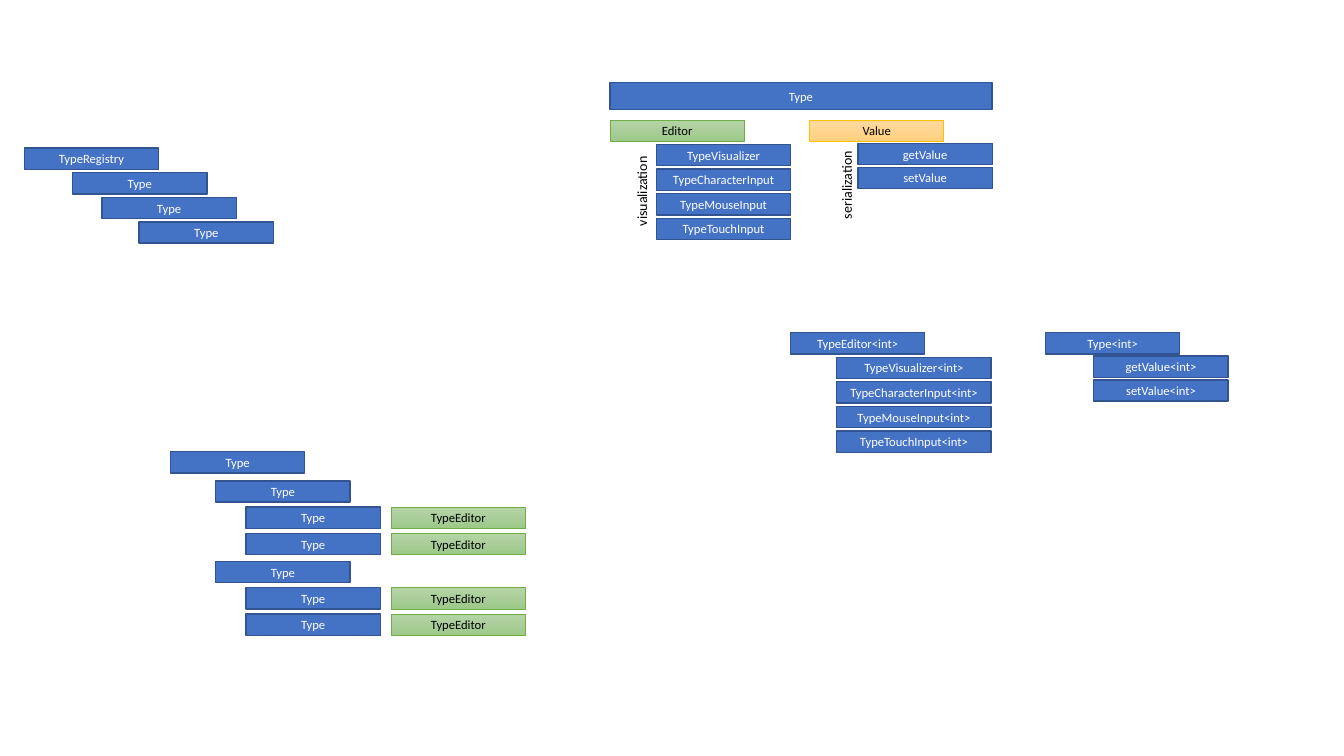
from copy import deepcopy

from pptx import Presentation
from pptx.dml.color import RGBColor
from pptx.enum.shapes import MSO_SHAPE as Shape
from pptx.enum.text import MSO_ANCHOR as Anchor, MSO_AUTO_SIZE as AutoSize, PP_ALIGN as Align
from pptx.oxml.ns import qn
from pptx.util import Inches, Pt

SLIDE_WIDTH, SLIDE_HEIGHT = Inches(13.333), Inches(7.5)
BOX_WIDTH, BOX_HEIGHT = 10, 2.82
PITCH = 3.25
FONT = "Calibri"
BLUE = (["4472C4"], "325491", 1, "FFFFFF")
GREEN = (["B5D5A7", "AACE9A", "9CC987"], "70AD47", 0.5, "000000")
YELLOW = (["FFDB9E", "FFD590", "FFD07C"], "FFC000", 0.5, "000000")


def color(value):
    return RGBColor.from_string(value)


def area(left, top, width, height):
    """Turn percentages of the slide into lengths."""
    return [int(share * side / 100) for share, side in
            zip((left, top, width, height), (SLIDE_WIDTH, SLIDE_HEIGHT) * 2)]


def write(shape, text, size, font_color, align):
    shape.text_frame.text = text
    paragraph = shape.text_frame.paragraphs[0]
    paragraph.alignment = align
    font = paragraph.runs[0].font
    font.name, font.size = FONT, Pt(size)
    font.color.rgb = color(font_color)


def paint(shape, colors):
    fill = shape.fill
    if len(colors) == 1:
        fill.solid()
        fill.fore_color.rgb = color(colors[0])
        return
    fill.gradient()
    fill.gradient_angle = 270
    stop_list = shape.element.spPr.find(qn("a:gradFill")).find(qn("a:gsLst"))
    stop_list.insert(1, deepcopy(stop_list[0]))
    for stop, position, value in zip(fill.gradient_stops, (0, 0.5, 1), colors):
        stop.position = position
        stop.color.rgb = color(value)


def add_box(shapes, text, left, top, style=BLUE, width=BOX_WIDTH, height=BOX_HEIGHT):
    colors, line_color, line_width, font_color = style
    shape = shapes.add_shape(Shape.RECTANGLE, *area(left, top, width, height))
    shape.shadow.inherit = False
    paint(shape, colors)
    shape.line.color.rgb = color(line_color)
    shape.line.width = Pt(line_width)
    shape.text_frame.vertical_anchor = Anchor.MIDDLE
    write(shape, text, 9, font_color, Align.CENTER)


def add_stack(shapes, labels, left, top, pitch=PITCH, style=BLUE, width=BOX_WIDTH):
    for row, label in enumerate(labels):
        add_box(shapes, label, left, top + row * pitch, style, width)


def add_side_label(shapes, text, left, top):
    label = shapes.add_textbox(*area(left, top, 6.7, 3.6))
    label.rotation = 270
    label.text_frame.word_wrap = False
    label.text_frame.auto_size = AutoSize.SHAPE_TO_FIT_TEXT
    write(label, text, 10, "000000", Align.LEFT)


def add_registry(shapes):
    labels = ["TypeRegistry"] + ["Type"] * 3
    for row, (label, left) in enumerate(zip(labels, (1.8, 5.4, 7.58, 10.35))):
        add_box(shapes, label, left, 19.6 + row * PITCH)


def add_editor(shapes, title, left, top, suffix="", style=BLUE, width=BOX_WIDTH):
    add_box(shapes, title, left, top, style)
    parts = ("Visualizer", "CharacterInput", "MouseInput", "TouchInput")
    labels = [f"Type{part}{suffix}" for part in parts]
    add_stack(shapes, labels, left + 3.45, top + 3.25, width=width)


def add_value(shapes, title, left, top, suffix="", style=BLUE):
    add_box(shapes, title, left, top, style)
    labels = [f"{verb}Value{suffix}" for verb in ("get", "set")]
    add_stack(shapes, labels, left + 3.6, top + 3.1, 3.15)


def add_type_tree(shapes):
    pitch = 3.47
    add_box(shapes, "Type", 12.68, 59.73)
    for top in (63.6, 74.27):
        add_box(shapes, "Type", 16.05, top)
        add_stack(shapes, ["Type"] * 2, 18.3, top + pitch, pitch)
        add_stack(shapes, ["TypeEditor"] * 2, 29.1, top + pitch, pitch, GREEN)


def main():
    presentation = Presentation()
    presentation.slide_width, presentation.slide_height = SLIDE_WIDTH, SLIDE_HEIGHT
    slide = presentation.slides.add_slide(presentation.slide_layouts[6])
    shapes = slide.shapes

    add_registry(shapes.add_group_shape().shapes)
    add_box(shapes, "Type", 45.38, 10.93, width=28.43, height=3.6)
    add_value(shapes, "Value", 60.23, 15.87, style=YELLOW)
    add_editor(shapes.add_group_shape().shapes, "Editor", 45.38, 15.87, style=GREEN)
    add_value(shapes.add_group_shape().shapes, "Type<int>", 77.78, 44, "<int>")
    add_editor(shapes.add_group_shape().shapes, "TypeEditor<int>", 58.8, 44, "<int>", width=11.5)
    add_side_label(shapes, "serialization", 59.63, 22.53)
    add_side_label(shapes, "visualization", 44.4, 23.47)
    add_type_tree(shapes)

    presentation.save("out.pptx")


main()
